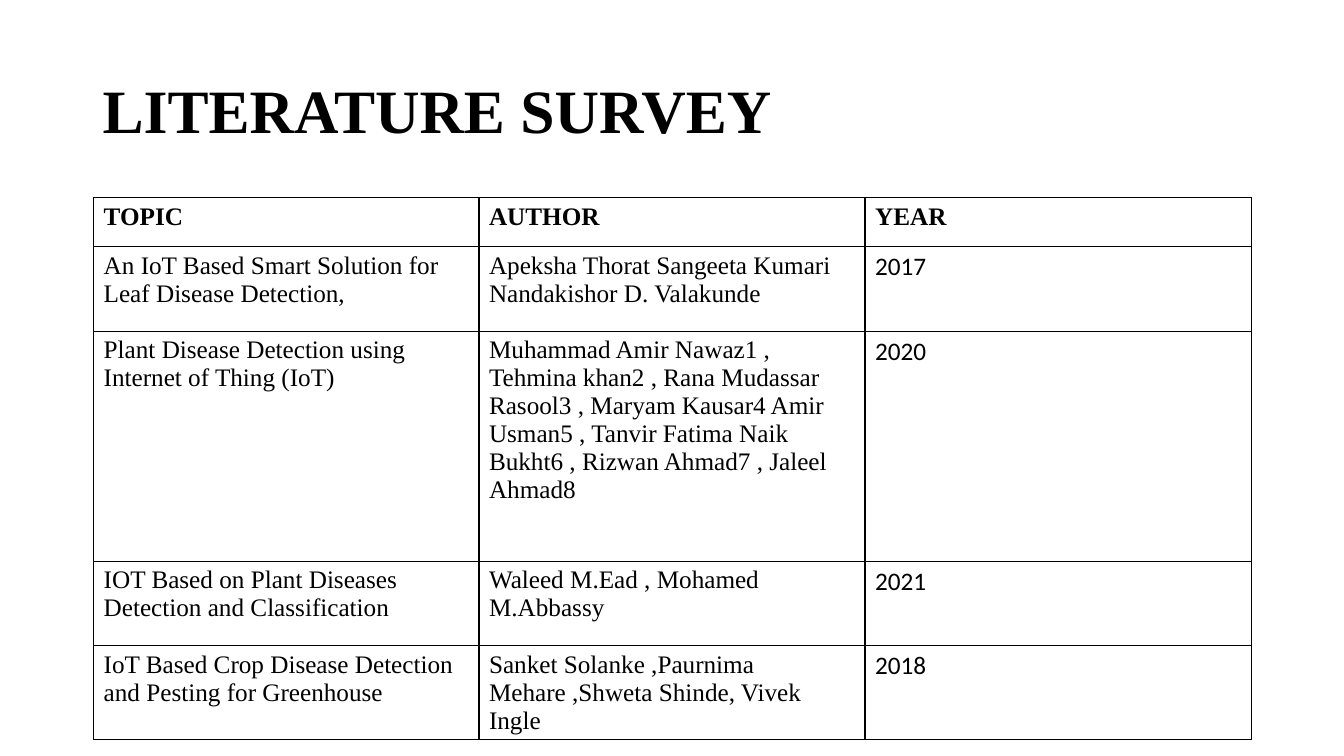
from lxml import etree
from pptx import Presentation
from pptx.dml.color import RGBColor
from pptx.enum.text import MSO_ANCHOR, MSO_AUTO_SIZE, PP_ALIGN
from pptx.oxml.ns import qn
from pptx.util import Cm, Pt

LEFT = PP_ALIGN.LEFT
MIDDLE = MSO_ANCHOR.MIDDLE
NO_FIT = MSO_AUTO_SIZE.NONE
BLACK = "000000"
WHITE = "FFFFFF"
SERIF = "Times New Roman"
SANS = "Calibri"


def write(p, text, size, font, bold=False):
    r = p.add_run()
    r.text = text
    for name, value in {"size": Pt(size), "name": font, "bold": bold}.items():
        setattr(r.font, name, value)
    r.font.color.rgb = RGBColor.from_string(BLACK)


def add_borders(cell, color, width):
    tcPr = cell._tc.get_or_add_tcPr()
    for side in ("lnL", "lnR", "lnT", "lnB"):
        ln = etree.SubElement(tcPr, qn(f"a:{side}"), w=str(Pt(width)))
        fill = etree.SubElement(ln, qn("a:solidFill"))
        etree.SubElement(fill, qn("a:srgbClr"), val=color)


prs = Presentation()
prs.slide_width, prs.slide_height = Cm(33.87), Cm(19.05)
s = prs.slides.add_slide(prs.slide_layouts[5])

# Title
title = s.shapes.title
title.left, title.top, title.width, title.height = Cm(2.33), Cm(1.01), Cm(29.21), Cm(3.68)
tf = title.text_frame
for name, value in {"word_wrap": True, "auto_size": NO_FIT, "vertical_anchor": MIDDLE}.items():
    setattr(tf, name, value)
p = tf.paragraphs[0]
p.alignment = LEFT
p.line_spacing = 0.9
write(p, "LITERATURE SURVEY", 44, SERIF, True)

# Survey table
survey = [
    ("TOPIC", "AUTHOR ", "YEAR"),
    ("An IoT Based Smart Solution for Leaf Disease Detection, ",
     "Apeksha Thorat Sangeeta Kumari Nandakishor D. Valakunde", "2017"),
    ("Plant Disease Detection using Internet of Thing (IoT) ",
     "Muhammad Amir Nawaz1 , Tehmina khan2 , Rana Mudassar Rasool3 , "
     "Maryam Kausar4 Amir Usman5 , Tanvir Fatima Naik Bukht6 , "
     "Rizwan Ahmad7 , Jaleel Ahmad8", "2020"),
    ("IOT Based on Plant Diseases Detection and Classification ",
     "Waleed M.Ead , Mohamed M.Abbassy", "2021"),
    ("IoT Based Crop Disease Detection and Pesting for Greenhouse",
     "Sanket Solanke ,Paurnima Mehare ,Shweta Shinde, Vivek Ingle", "2018"),
]
col_widths = [9.71, 9.73, 9.73]
row_heights = [1.24, 2.13, 5.79, 2.13, 2.13]
table = s.shapes.add_table(len(survey), len(col_widths), Cm(2.36), Cm(4.98),
                           Cm(sum(col_widths)), Cm(sum(row_heights))).table
table.first_row = table.horz_banding = False
for col, width in zip(table.columns, col_widths):
    col.width = Cm(width)
for row, height in zip(table.rows, row_heights):
    row.height = Cm(height)

for i, entry in enumerate(survey):
    for j, text in enumerate(entry):
        cell = table.cell(i, j)
        is_header = i == 0
        is_year = j == 2 and not is_header
        write(cell.text_frame.paragraphs[0], text, 18, SANS if is_year else SERIF, is_header)
        add_borders(cell, BLACK, 1)
        cell.fill.solid()
        cell.fill.fore_color.rgb = RGBColor.from_string(WHITE)

prs.save("out.pptx")
